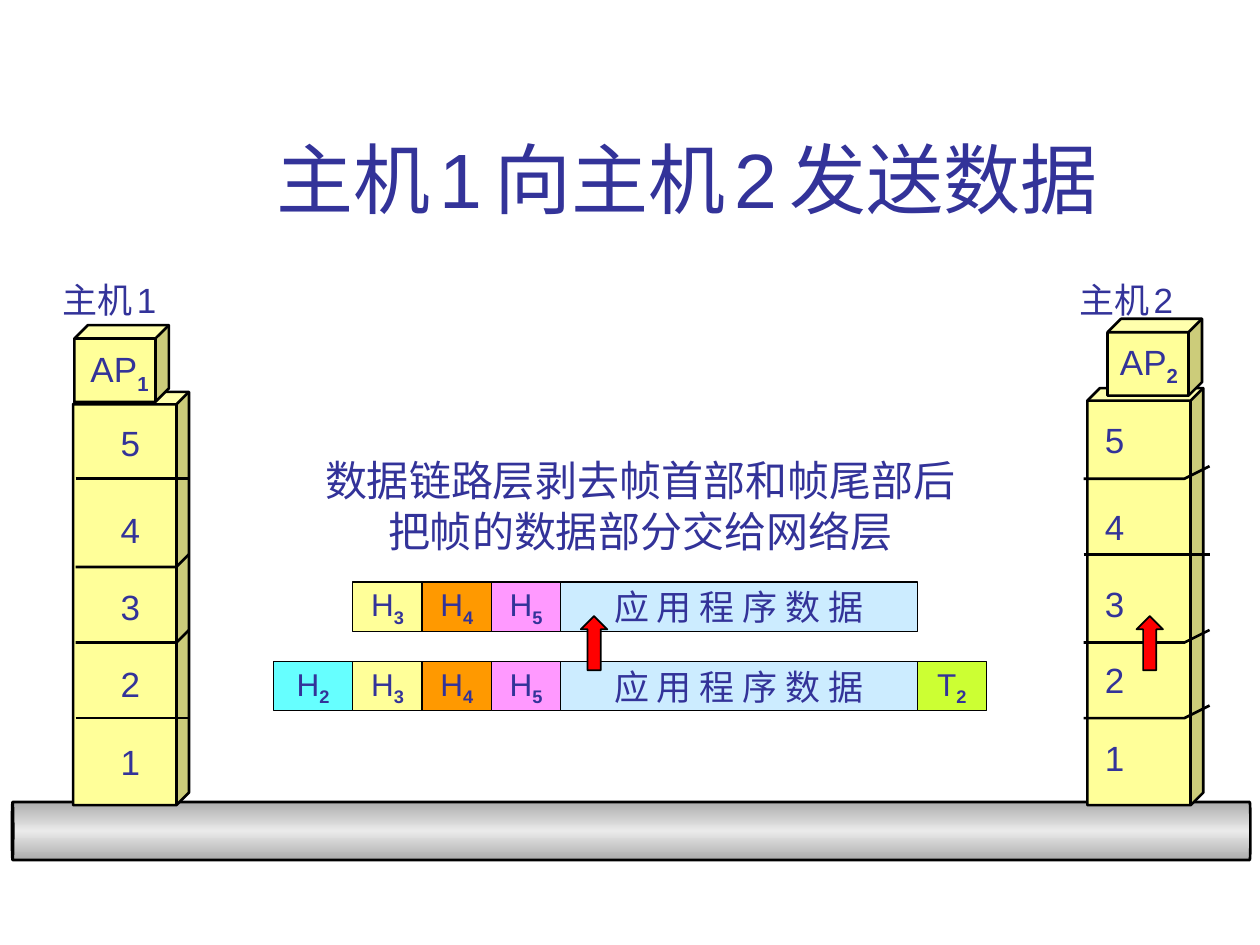
from collections import namedtuple
from dataclasses import dataclass

from lxml import etree
from pptx import Presentation
from pptx import util as u
from pptx.dml.color import RGBColor
from pptx.enum import shapes, text
from pptx.oxml.ns import qn

COLS, ROWS = 100, 75  # slide grid with square cells of 0.1 inch
CELL = u.Inches(0.1)


@dataclass(frozen=True)
class Theme:
    font: str = "Arial"
    data_font: str = "Lato"
    ink: str = "333399"
    line: str = "000000"
    block: str = "FFFF99"
    arrow: str = "FF0000"
    cable: tuple = ((0, "ACACAC"), (50, "EAEAEA"), (100, "ACACAC"))
    title: int = 44
    title_gap: int = 24
    note: int = 24
    label: int = 20
    label_gap: int = 10
    header: int = 18
    thick: float = 1.5
    thin: float = 0.75


T = Theme()
S = shapes.MSO_SHAPE
Piece = namedtuple("Piece", "letter sub fill width")
H2 = Piece("H", "2", "66FFFF", 6.3)
PACKET = [Piece("H", "3", "FFFF99", 5.5), Piece("H", "4", "FF9900", 5.5),
          Piece("H", "5", "FF99FF", 5.5),
          Piece("应 用 程 序 数 据", "", "CCECFF", 28.3)]
T2 = Piece("T", "2", "CCFF33", 5.5)


class Box(namedtuple("Box", "x y w h")):
    """A rectangle in grid cells."""

    def inner(self, dx, dy, w, h):
        return Box(self.x + dx, self.y + dy, w, h)

    def emu(self):
        return [round(v * CELL) for v in self]


def rgb(value):
    return RGBColor.from_string(value)


def add_runs(p, runs, font=T.font):
    """Each run is (text, size) or (text, size, True) for a bold subscript."""
    for words, size, *sub in runs:
        r = p.add_run()
        r.text = words
        for key, value in dict(size=u.Pt(size), name=font, bold=bool(sub)).items():
            setattr(r.font, key, value)
        r.font.color.rgb = rgb(T.ink)
        if sub:
            r.font._element.set("baseline", "-25000")


def add_label(slide, box, *lines, align=text.PP_ALIGN.LEFT):
    tf = slide.shapes.add_textbox(*box.emu()).text_frame
    tf.word_wrap = False
    for i, runs in enumerate(lines):
        p = tf.add_paragraph() if i else tf.paragraphs[0]
        p.alignment = align
        add_runs(p, runs)


def add_solid(slide, kind, box, fill, width, adjust=()):
    sp = slide.shapes.add_shape(kind, *box.emu())
    sp.shadow.inherit = False
    sp.fill.solid()
    sp.fill.fore_color.rgb = rgb(fill)
    sp.line.color.rgb = rgb(T.line)
    sp.line.width = u.Pt(width)
    for i, value in enumerate(adjust):
        sp.adjustments[i] = value
    return sp


def title(slide, box):
    sp = slide.shapes.title
    sp.left, sp.top, sp.width, sp.height = box.emu()
    tf = sp.text_frame
    for key, value in dict(word_wrap=True, auto_size=text.MSO_AUTO_SIZE.NONE,
                           vertical_anchor=text.MSO_ANCHOR.BOTTOM).items():
        setattr(tf, key, value)
    p = tf.paragraphs[0]
    p.alignment = text.PP_ALIGN.CENTER
    for i, words in enumerate(("主机", "1", "向主机", "2", "发送数据 ")):
        gap = [(" ", T.title_gap)] if i else []
        add_runs(p, gap + [(words, T.title)])


def cable(slide, box):
    """A can turned on its side to fill the box."""
    upright = box.inner((box.w - box.h) / 2, (box.h - box.w) / 2, box.h, box.w)
    sp = add_solid(slide, S.CAN, upright, T.cable[0][1], T.thick, (0.023,))
    sp.rotation = 270
    sp.fill.gradient()
    sp.fill.gradient_angle = 0
    stops = sp._element.spPr.find(qn("a:gradFill")).find(qn("a:gsLst"))
    for old in list(stops):
        stops.remove(old)
    for place, color in T.cable:
        gs = etree.SubElement(stops, qn("a:gs"), pos=str(place * 1000))
        etree.SubElement(gs, qn("a:srgbClr"), val=color)


def tower(slide, box, label_dx):
    """Five protocol layers, numbered from the top down."""
    add_solid(slide, S.CUBE, box, T.block, T.thick, (0.108,))
    for layer, dy in zip("54321", (1.9, 8.8, 14.9, 21, 27.2)):
        add_label(slide, box.inner(label_dx, dy, 3.5, 4.4), [(layer, T.label)])
    for i, dx in enumerate((0, 0.1, -0.1, -0.1)):
        x, y = box.x + dx, box.y + 7.3 + 6.35 * i
        edge = slide.shapes.build_freeform(x, y, scale=float(CELL))
        corner = box.x + 8.2
        edge.add_line_segments([(corner, y), (corner + 1.1, y - 0.7)], close=False)
        sp = edge.convert_to_shape()
        sp.shadow.inherit = False
        sp.fill.background()
        sp.line.color.rgb = rgb(T.line)
        sp.line.width = u.Pt(T.thick)


def host(slide, number, box, label_dx, name_at, app_at, app_label_at):
    """A host: its tower fills the box, the other parts sit above it."""
    tower(slide, box, label_dx)
    add_label(slide, box.inner(*name_at, 10.1, 4.4),
              [("主机", T.label), (" ", T.label_gap), (number, T.label)])
    add_solid(slide, S.CUBE, box.inner(*app_at, 7.5, 6.1), T.block, T.thick, (0.176,))
    add_label(slide, box.inner(*app_label_at, 6.6, 4.8),
              [("AP", T.label), (number, T.label, True)])


def data_unit(slide, box, pieces):
    """Header, data and trailer blocks side by side from the left of the box."""
    dx = 0
    for piece in pieces:
        sp = add_solid(slide, S.RECTANGLE, box.inner(dx, 0, piece.width, box.h),
                       piece.fill, T.thin)
        dx += piece.width
        tf = sp.text_frame
        tf.word_wrap = False
        tf.vertical_anchor = text.MSO_ANCHOR.MIDDLE
        p = tf.paragraphs[0]
        p.alignment = text.PP_ALIGN.CENTER
        if piece.sub:
            add_runs(p, [(piece.letter, T.header), (piece.sub, T.header, True)])
        else:
            add_runs(p, [(piece.letter, T.label)], T.data_font)


def exchange(slide, box):
    """The note above the packet, and the frame it was taken from."""
    add_label(slide, box.inner(3.1, 0, 52, 9),
              [("数据链路层剥去帧首部和帧尾部后", T.note)],
              [("把帧的数据部分交给网络层", T.note)], align=text.PP_ALIGN.CENTER)
    data_unit(slide, box.inner(H2.width, 10.6, box.w, 3.9), PACKET)
    data_unit(slide, box.inner(0, 16.9, box.w, 3.9), [H2, *PACKET, T2])


def main():
    prs = Presentation()
    prs.slide_width, prs.slide_height = COLS * CELL, ROWS * CELL
    slide = prs.slides.add_slide(prs.slide_layouts[5])
    title(slide, Box(12.6, 2.3, 85.2, 16))
    cable(slide, Box(0.95, 63.65, 98.3, 4.6))
    host(slide, "1", Box(5.8, 31.1, 9.2, 32.8), 2.8, (-1.8, -9.5), (0.1, -5.3), (0.4, -4))
    host(slide, "2", Box(86.3, 30.8, 9.2, 33.1), 0.4, (-1.6, -9.2), (1.6, -5.5), (1.6, -4.3))
    exchange(slide, Box(21.7, 35.6, 56.6, 20.8))
    for x in (46.1, 90.2):
        add_solid(slide, S.UP_ARROW, Box(x, 48.9, 2.1, 4.3), T.arrow, 1, (0.5, 0.5))
    prs.save("out.pptx")


if __name__ == "__main__":
    main()
